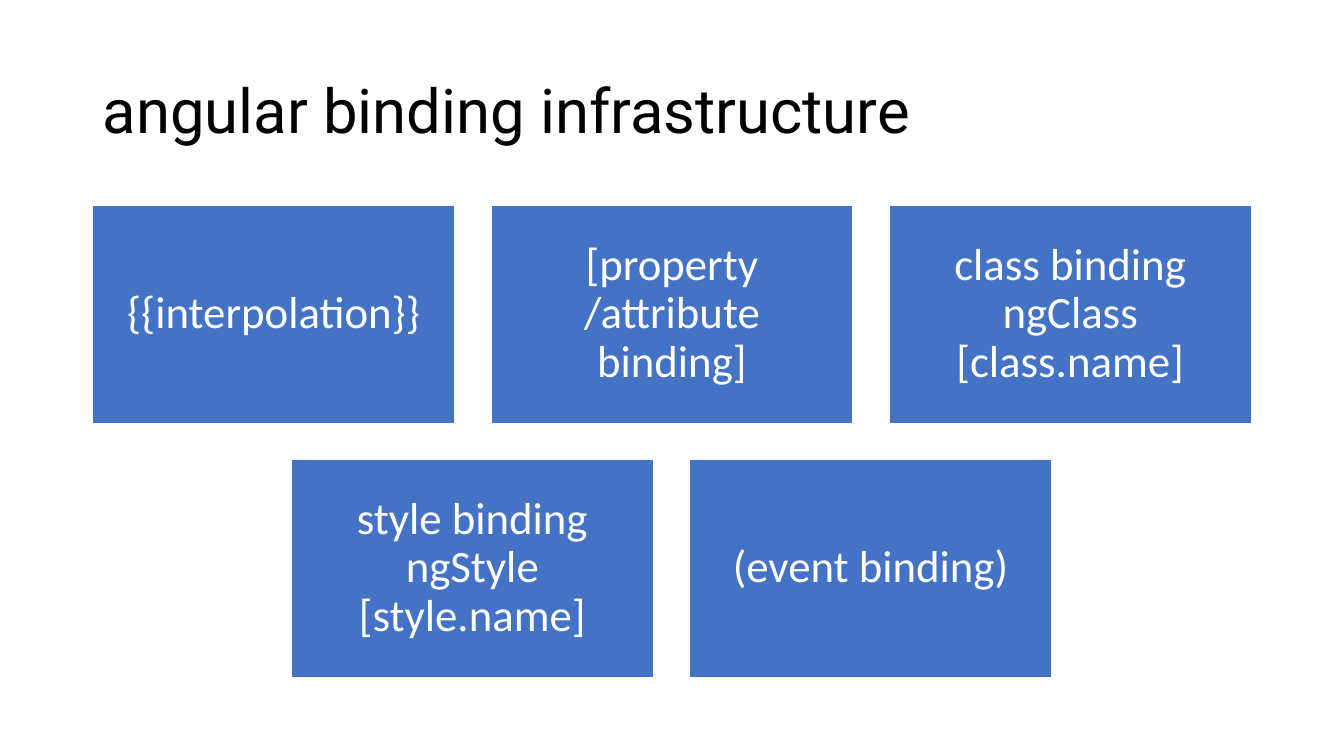
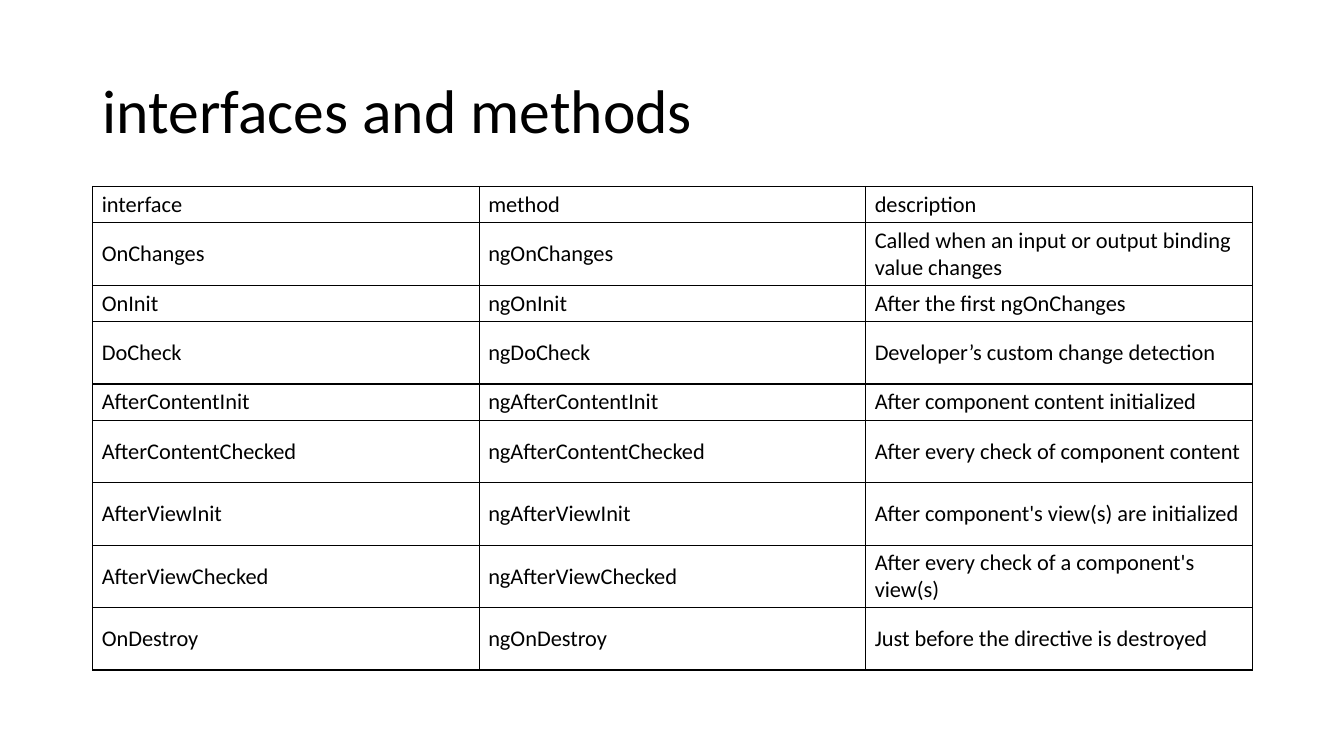
"""Build two slides on Angular bindings and lifecycle interfaces."""
from lxml.etree import SubElement
from pptx import Presentation
from pptx.dml.color import RGBColor
from pptx.enum.shapes import MSO_SHAPE as Shape
from pptx.enum.text import MSO_ANCHOR as Anchor, PP_ALIGN as Align
from pptx.oxml.ns import qn
from pptx.util import Pt

PX = 9144
SLIDE_WIDTH, SLIDE_HEIGHT = 1333, 750
LEFT, CONTENT_WIDTH = 92, 1150
BLACK, WHITE, BLUE = "000000", "FFFFFF", "4472C4"


def color(value):
    return RGBColor.from_string(value)


def write(frame, text, size=16, font="Calibri", fill=BLACK, align=Align.LEFT, spacing=1.0):
    frame.word_wrap = True
    para = frame.paragraphs[0]
    para.alignment = align
    para.line_spacing = spacing
    span = para.add_run()
    span.text = text
    span.font.size = Pt(size)
    span.font.name = font
    span.font.color.rgb = color(fill)


deck = Presentation()
deck.slide_width = SLIDE_WIDTH * PX
deck.slide_height = SLIDE_HEIGHT * PX

pages = []
for title, font in [("angular binding infrastructure", "Roboto"), ("interfaces and methods", "Calibri")]:
    page = deck.slides.add_slide(deck.slide_layouts[6])
    box = page.shapes.add_textbox(LEFT * PX, 40 * PX, CONTENT_WIDTH * PX, 145 * PX)
    box.text_frame.vertical_anchor = Anchor.MIDDLE
    write(box.text_frame, title, size=44, font=font, spacing=0.9)
    pages.append(page)
binding_page, interface_page = pages

CARD_WIDTH, CARD_HEIGHT, CARD_GAP, CARD_TOP, CARD_INSET = 359, 216, 36, 204, 13
card_rows = [
    ["{{interpolation}}", "[property /attribute binding]", "class binding ngClass [class.name]"],
    ["style binding ngStyle [style.name]", "(event binding)"],
]
for row_index, labels in enumerate(card_rows):
    row_width = len(labels) * (CARD_WIDTH + CARD_GAP) - CARD_GAP
    row_left = (SLIDE_WIDTH - row_width) // 2
    top = CARD_TOP + row_index * (CARD_HEIGHT + CARD_GAP)
    for column_index, label in enumerate(labels):
        left = row_left + column_index * (CARD_WIDTH + CARD_GAP)
        card = binding_page.shapes.add_shape(
            Shape.RECTANGLE, left * PX, top * PX, CARD_WIDTH * PX, CARD_HEIGHT * PX)
        card.shadow.inherit = False
        card.fill.solid()
        card.fill.fore_color.rgb = color(BLUE)
        card.line.color.rgb = color(WHITE)
        card.line.width = Pt(1)
        frame = card.text_frame
        frame.margin_left = frame.margin_right = CARD_INSET * PX
        frame.margin_top = frame.margin_bottom = CARD_INSET * PX
        frame.vertical_anchor = Anchor.MIDDLE
        write(frame, label, size=32, fill=WHITE, align=Align.CENTER, spacing=0.9)

SHORT, TALL = 36, 62
table_rows = [
    (SHORT, "interface", "method", "description"),
    (TALL, "OnChanges", "ngOnChanges", "Called when an input or output binding value changes"),
    (SHORT, "OnInit", "ngOnInit", "After the first ngOnChanges"),
    (TALL, "DoCheck", "ngDoCheck", "Developer’s custom change detection"),
    (SHORT, "AfterContentInit", "ngAfterContentInit", "After component content initialized"),
    (TALL, "AfterContentChecked", "ngAfterContentChecked", "After every check of component content"),
    (TALL, "AfterViewInit", "ngAfterViewInit", "After component's view(s) are initialized"),
    (TALL, "AfterViewChecked", "ngAfterViewChecked", "After every check of a component's view(s)"),
    (TALL, "OnDestroy", "ngOnDestroy", "Just before the directive is destroyed"),
]
table_height = sum(height for height, *texts in table_rows)
table = interface_page.shapes.add_table(
    len(table_rows), 3, LEFT * PX, 185 * PX, CONTENT_WIDTH * PX, table_height * PX).table
table.first_row = False
table.horz_banding = False
for row_index, (height, *texts) in enumerate(table_rows):
    table.rows[row_index].height = height * PX
    for column_index, text in enumerate(texts):
        cell = table.cell(row_index, column_index)
        cell.vertical_anchor = Anchor.MIDDLE
        cell.margin_left = cell.margin_right = 9 * PX
        cell.margin_top = cell.margin_bottom = 4 * PX
        properties = cell._tc.get_or_add_tcPr()
        for side in ("a:lnL", "a:lnR", "a:lnT", "a:lnB"):
            border = SubElement(properties, qn(side), w=str(Pt(1)))
            border_fill = SubElement(border, qn("a:solidFill"))
            SubElement(border_fill, qn("a:srgbClr"), val=BLACK)
        cell.fill.background()
        write(cell.text_frame, text)

deck.save("out.pptx")
